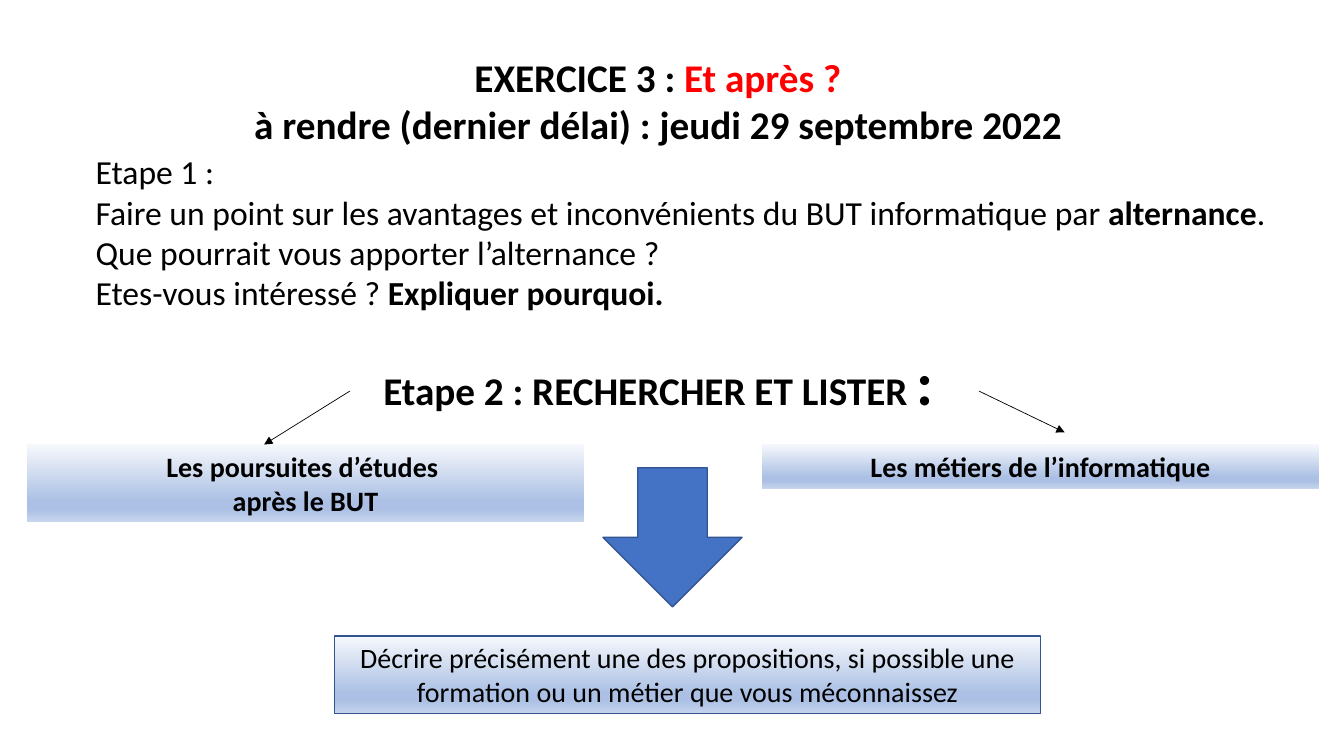
from lxml.etree import SubElement
from pptx import Presentation
from pptx.dml.color import RGBColor
from pptx.enum.dml import MSO_LINE
from pptx.enum.shapes import MSO_CONNECTOR, MSO_SHAPE
from pptx.enum.text import MSO_ANCHOR, PP_ALIGN
from pptx.oxml.ns import qn
from pptx.util import Inches, Pt

BLACK = RGBColor(0x00, 0x00, 0x00)
RED = RGBColor(0xFF, 0x00, 0x00)
BLUE = RGBColor(0x44, 0x72, 0xC4)
NAVY = RGBColor(0x32, 0x54, 0x91)
PALE = RGBColor(0xF6, 0xF8, 0xFC)
SOFT = RGBColor(0xAB, 0xC0, 0xE4)
MIST = RGBColor(0xC7, 0xD5, 0xED)
FADE = [(0, PALE), (74, SOFT), (83, SOFT), (100, MIST)]
FONT = "Calibri"


def write(shape, lines, size, bold=False, align=PP_ALIGN.CENTER):
    """Fill a shape with lines, each a list of (text, changes) runs."""
    frame = shape.text_frame
    frame.word_wrap = True
    frame.vertical_anchor = MSO_ANCHOR.TOP
    for i, line in enumerate(lines):
        para = frame.add_paragraph() if i else frame.paragraphs[0]
        para.alignment = align
        for text, style in line:
            run = para.add_run()
            run.text = text
            font = run.font
            font.name = FONT
            font.size = Pt(style.get("size", size))
            font.bold = style.get("bold", bold)
            font.color.rgb = style.get("color", BLACK)


def add_text(slide, box, lines, size, **style):
    """Place a text box."""
    shape = slide.shapes.add_textbox(*map(Inches, box))
    write(shape, lines, size, **style)


def add_panel(slide, box, lines, bold=True, edge=False):
    """Place a shaded panel with centred text."""
    shape = slide.shapes.add_shape(MSO_SHAPE.RECTANGLE, *map(Inches, box))
    shape.shadow.inherit = False
    shape.fill.gradient()
    shape.fill.gradient_angle = 270
    stops = shape._element.spPr.find(".//" + qn("a:gsLst"))
    for stop in list(stops):
        stops.remove(stop)
    for place, color in FADE:
        stop = SubElement(stops, qn("a:gs"), pos=str(place * 1000))
        SubElement(stop, qn("a:srgbClr"), val=str(color))
    if edge:
        shape.line.color.rgb = NAVY
        shape.line.width = Pt(0.75)
    else:
        shape.line.fill.background()
    write(shape, [[(text, {})] for text in lines], 20, bold)


def add_arrow(slide, start, end):
    """Draw a thin arrow from start to end."""
    line = slide.shapes.add_connector(
        MSO_CONNECTOR.STRAIGHT, *map(Inches, start + end))
    line.line.color.rgb = BLACK
    line.line.width = Pt(0.5)
    line.line.dash_style = MSO_LINE.SOLID
    SubElement(line.line._get_or_add_ln(), qn("a:tailEnd"), type="triangle")
    SubElement(line._element.spPr, qn("a:effectLst"))


def add_head(slide, box):
    """Write the exercise title and its deadline."""
    add_text(slide, box, [
        [("EXERCICE 3 : ", {}), ("Et après ?", {"color": RED})],
        [("à rendre (dernier délai) : jeudi 29 septembre 2022", {})],
    ], 28, bold=True)


def add_first(slide, box):
    """Write the questions of step 1."""
    strong = {"bold": True}
    add_text(slide, box, [
        [("Etape 1 :", {})],
        [("Faire un point sur les avantages et inconvénients du BUT "
          "informatique par ", {}), ("alternance", strong), (".", {})],
        [("Que pourrait vous apporter l’alternance ?", {})],
        [("Etes-vous intéressé ? ", {}), ("Expliquer pourquoi.", strong)],
    ], 24, align=PP_ALIGN.LEFT)


def add_second(slide, box):
    """Draw step 2: heading, two topics, and the task they lead to."""
    left, top, width, _ = box
    wide = 5.52
    row = top + 1.05
    right = left + width - wide
    add_text(slide, (left + 2.76, top, 7, 0.84), [
        [("Etape 2 : RECHERCHER ET LISTER ", {}), (":", {"size": 44})],
    ], 28, bold=True)
    add_panel(slide, (left, row, wide, 0.77),
              ["Les poursuites d’études ", "après le BUT"])
    add_panel(slide, (right, row, wide, 0.44),
              ["Les métiers de l’informatique"])
    level = top + 0.52
    add_arrow(slide, (left + 3.2, level), (left + 2.35, row))
    add_arrow(slide, (right + 2.15, level), (right + 3, level + 0.41))

    down = slide.shapes.add_shape(
        MSO_SHAPE.DOWN_ARROW, Inches(left + 5.71), Inches(row + 0.23),
        Inches(1.38), Inches(1.38))
    down.shadow.inherit = False
    down.fill.solid()
    down.fill.fore_color.rgb = BLUE
    down.line.color.rgb = NAVY
    down.line.width = Pt(1)

    add_panel(slide, (left + 3.05, row + 1.9, 7, 0.77), [
        "Décrire précisément une des propositions, si possible une "
        "formation ou un métier que vous méconnaissez"], False, True)


def main():
    """Build and save the slide."""
    deck = Presentation()
    deck.slide_width = Inches(13.33)
    deck.slide_height = Inches(7.5)
    slide = deck.slides.add_slide(deck.slide_layouts[6])
    add_head(slide, (1.47, 0.48, 10.11, 1.04))
    add_second(slide, (0.27, 3.36, 12.81, 3.72))
    add_first(slide, (0.85, 1.45, 11.86, 2.02))
    deck.save("out.pptx")


main()
